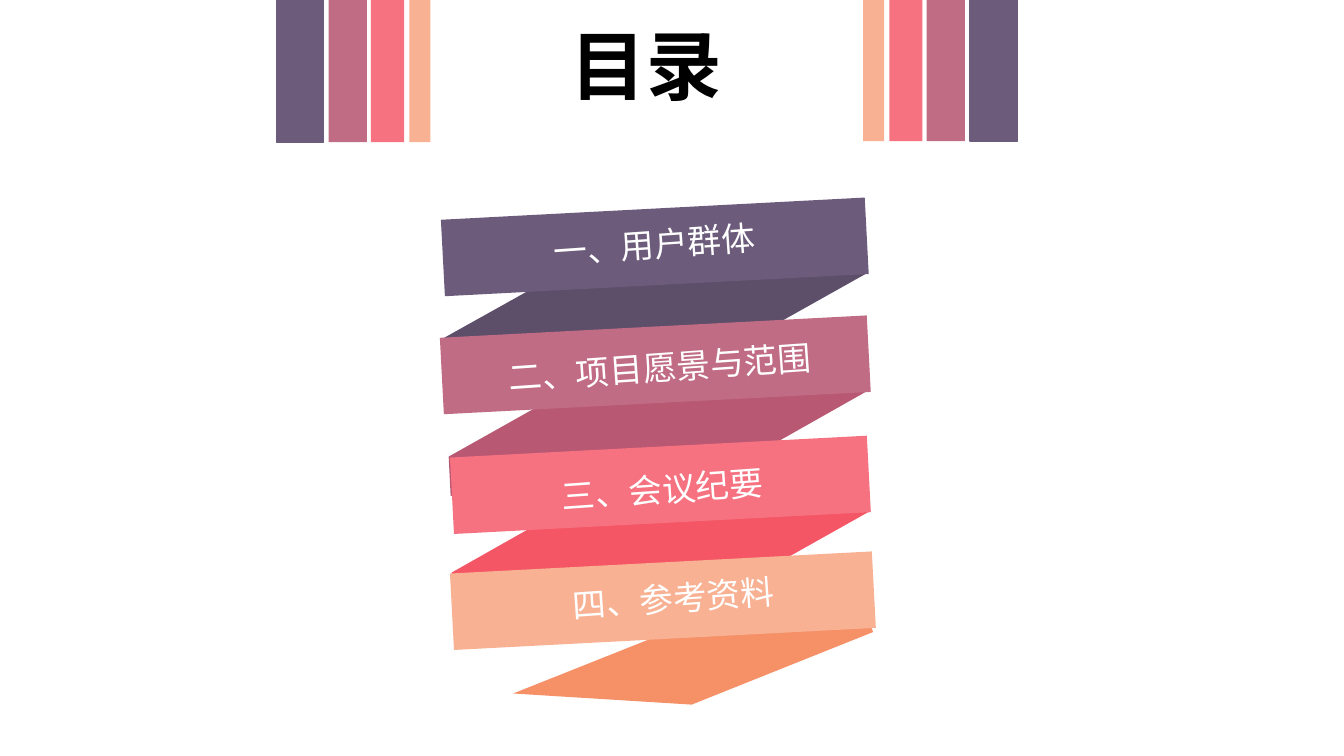
from lxml import etree
from pptx import Presentation
from pptx import util as u
from pptx.dml.color import RGBColor
from pptx.enum import shapes, text
from pptx.oxml.ns import qn

EMU_PER_PX = 9144
FONT = "Noto Sans CJK SC"
COLORS = {
    "purple": "6C5B7B", "plum": "C06C84", "pink": "F67280", "peach": "F8B193",
    "purple_fold": "5D4E6A", "plum_fold": "B85873", "pink_fold": "F45665",
    "peach_fold": "F59067", "black": "000000", "white": "FFFFFF",
}


class Canvas:
    def __init__(self, slide):
        self.slide = slide

    def px(self, *lengths):
        return [u.Emu(length * EMU_PER_PX) for length in lengths]

    def color(self, name):
        return RGBColor.from_string(COLORS[name])

    def paint(self, shape, fill, outlined=False):
        shape.shadow.inherit = False
        shape.fill.solid()
        shape.fill.fore_color.rgb = self.color(fill)
        if outlined:
            shape.line.color.rgb = self.color(fill)
            shape.line.width = u.Pt(1)
        else:
            shape.line.fill.background()

    def rectangle(self, bounds, fill, rotation=0, outlined=False):
        shape = self.slide.shapes.add_shape(
            shapes.MSO_SHAPE.RECTANGLE, *self.px(*bounds))
        shape.rotation = rotation
        self.paint(shape, fill, outlined)

    def polygon(self, points, fill):
        builder = self.slide.shapes.build_freeform(*points[0], scale=EMU_PER_PX)
        builder.add_line_segments(points[1:], close=True)
        self.paint(builder.convert_to_shape(), fill)

    def set_words(self, box, words, size, color, bold=False):
        frame = box.text_frame
        frame.text = words
        frame.word_wrap = False
        frame.auto_size = text.MSO_AUTO_SIZE.NONE
        frame.vertical_anchor = text.MSO_ANCHOR.MIDDLE
        para = frame.paragraphs[0]
        para.alignment = text.PP_ALIGN.CENTER
        para.font.name = FONT
        para.font.size = u.Pt(size)
        para.font.bold = bold
        para.font.color.rgb = self.color(color)
        defaults = para._p.pPr.find(qn("a:defRPr"))
        etree.SubElement(defaults, qn("a:ea"), typeface=FONT)

    def title(self, bounds, words):
        box = self.slide.shapes.title
        box.left, box.top, box.width, box.height = self.px(*bounds)
        self.set_words(box, words, 54, "black", bold=True)

    def label(self, bounds, words, rotation):
        box = self.slide.shapes.add_textbox(*self.px(*bounds))
        box.rotation = rotation
        self.set_words(box, words, 24, "white")


STRIPES = [(274, 47, "purple"), (326, 38, "plum"), (368, 33, "pink"), (406, 21, "peach")]
STRIPE_HEIGHT = 141
MIRROR_SUM = 1283

FOLDS = [
    ("peach_fold", [(838, 557), (866, 627), (686, 699), (509, 688)]),
    ("purple_fold", [(832, 233), (591, 367), (441, 375), (439, 336), (602, 245)]),
    ("purple_fold", [(858, 232), (860, 271), (696, 363), (467, 375), (707, 240)]),
    ("plum_fold", [(834, 350), (596, 485), (447, 492), (445, 453), (607, 362)]),
    ("plum_fold", [(858, 349), (860, 388), (699, 479), (472, 491), (709, 357)]),
    ("pink_fold", [(836, 465), (599, 600), (450, 607), (448, 568), (609, 477)]),
    ("pink_fold", [(860, 468), (863, 507), (701, 598), (474, 610), (712, 476)]),
]

BANNERS = [
    ("purple", (439, 207, 421, 76), "一、用户群体", (538, 217, 222, 50)),
    ("plum", (438, 324, 424, 76), "二、项目愿景与范围", (493, 339, 323, 50)),
    ("pink", (448, 443, 414, 76), "三、会议纪要", (546, 460, 222, 50)),
    ("peach", (448, 558, 419, 76), "四、参考资料", (557, 568, 222, 50)),
]


def main():
    deck = Presentation()
    deck.slide_width, deck.slide_height = u.Inches(13.33), u.Inches(7.5)
    page = deck.slides.add_slide(deck.slide_layouts.get_by_name("Title Only"))
    canvas = Canvas(page)

    for left, width, fill in STRIPES:
        for x, top in ((left, 0), (MIRROR_SUM - left - width, -1)):
            canvas.rectangle((x, top, width, STRIPE_HEIGHT), fill,
                             outlined=fill == "purple")

    canvas.title((555, 13, 172, 101), "目录")

    for fill, points in FOLDS:
        canvas.polygon(points, fill)
    for fill, bounds, words, label_bounds in BANNERS:
        canvas.rectangle(bounds, fill, rotation=357)
        canvas.label(label_bounds, words, rotation=356)

    deck.save("out.pptx")


if __name__ == "__main__":
    main()
